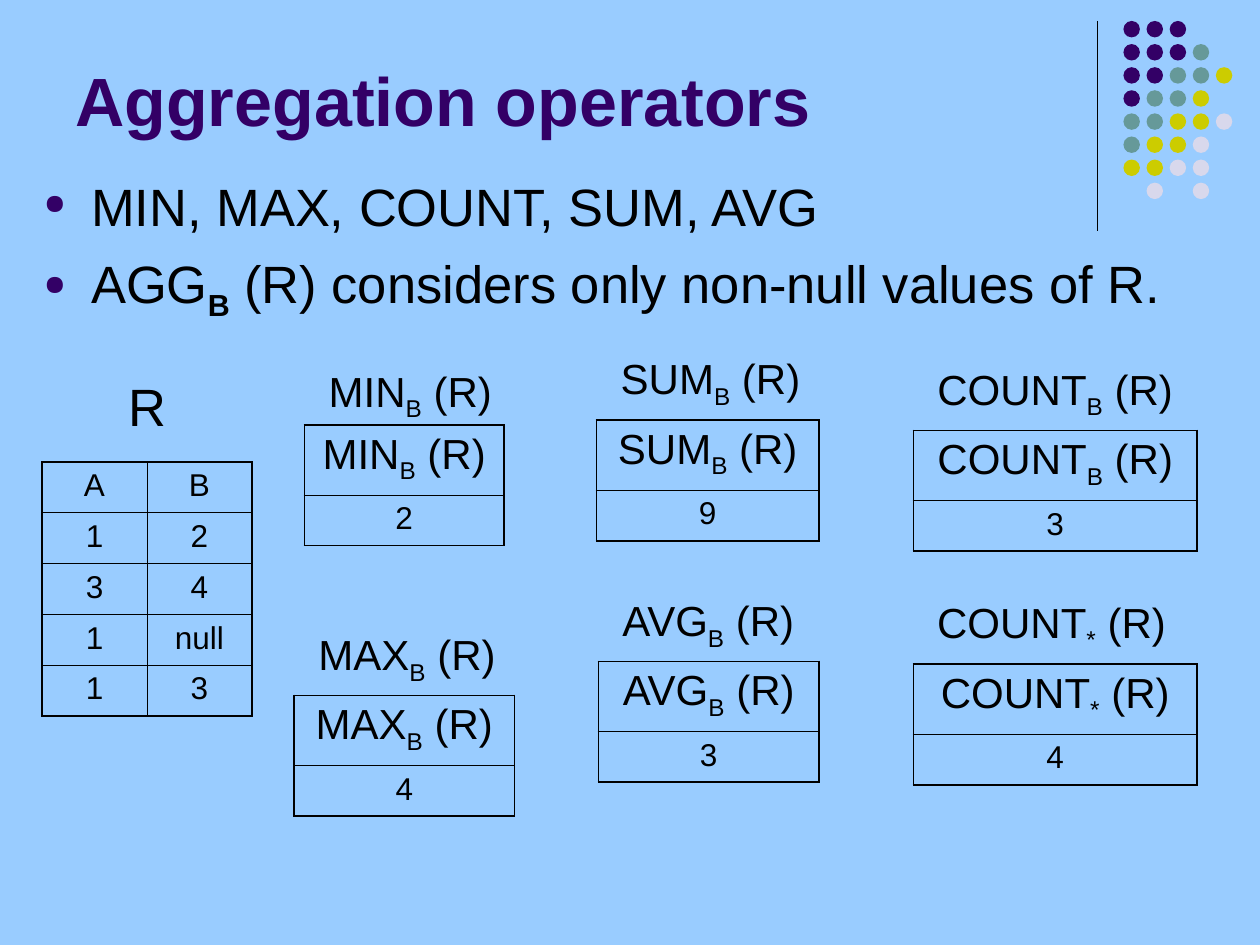
from lxml import etree
from pptx import Presentation
from pptx.dml.color import RGBColor
from pptx.enum import shapes, text
from pptx.oxml import ns
from pptx.util import Pt

COLORS = {"bg": "99CCFF", "text": "000000", "P": "330066", "T": "669999",
          "Y": "CCCC00", "L": "D8D8EC"}


def write(p, content, size, color="text", bold=False):
    for i, part in enumerate(content.split("|")):
        r = p.add_run()
        r.text = part
        r.font.name = "Arial"
        r.font.size = Pt(size)
        r.font.bold = bold
        r.font.color.rgb = RGBColor.from_string(COLORS[color])
        if i % 2:
            r._r.get_or_add_rPr().set("baseline", "-25000")


def add_grid(s, left, top, width, rows, heights, sizes):
    n, m = len(rows), len(rows[0])
    tbl = s.shapes.add_table(n, m, Pt(left), Pt(top), Pt(width), Pt(sum(heights))).table
    tbl.first_row = tbl.horz_banding = False
    for col in tbl.columns:
        col.width = Pt(width / m)
    for i, row in enumerate(rows):
        tbl.rows[i].height = Pt(heights[i])
        for j, value in enumerate(row):
            cell = tbl.cell(i, j)
            cell.fill.background()
            p = cell.text_frame.paragraphs[0]
            p.alignment = text.PP_ALIGN.CENTER
            write(p, value, sizes[i])
            outer = {"lnL": j == 0, "lnR": j == m - 1, "lnT": i == 0, "lnB": i == n - 1}
            for k, (side, is_outer) in enumerate(outer.items()):
                ln = etree.Element(ns.qn("a:" + side), w=str(Pt(1.08 if is_outer else 0.45)))
                fill = etree.SubElement(ln, ns.qn("a:solidFill"))
                etree.SubElement(fill, ns.qn("a:srgbClr"), val=COLORS["text"])
                cell._tc.get_or_add_tcPr().insert(k, ln)


prs = Presentation()
prs.slide_width, prs.slide_height = Pt(720), Pt(540)
s = prs.slides.add_slide(prs.slide_layouts[6])
s.background.fill.solid()
s.background.fill.fore_color.rgb = RGBColor.from_string(COLORS["bg"])

rule = s.shapes.add_connector(shapes.MSO_CONNECTOR.STRAIGHT, Pt(627), Pt(12), Pt(627), Pt(132))
rule.line.color.rgb = RGBColor.from_string(COLORS["text"])
rule.line.width = Pt(0.75)
etree.SubElement(rule._element.spPr, ns.qn("a:effectLst"))

dots = ["PPP", "PPPT", "PPTTY", "PTTY", "TTYYL", "TYYL", "YYLL", " L L"]
for i, row in enumerate(dots):
    for j, key in enumerate(row):
        if key != " ":
            dot = s.shapes.add_shape(shapes.MSO_SHAPE.OVAL, Pt(642 + 13.2 * j),
                                     Pt(12 + 13.2 * i), Pt(9.4), Pt(9.4))
            dot.shadow.inherit = False
            dot.fill.solid()
            dot.fill.fore_color.rgb = RGBColor.from_string(COLORS[key])
            dot.line.fill.background()

title = s.shapes.add_textbox(Pt(36), Pt(9.4), Pt(594), Pt(74))
tf = title.text_frame
tf.word_wrap = True
tf.vertical_anchor = text.MSO_ANCHOR.BOTTOM
write(tf.paragraphs[0], "Aggregation operators", 39, "P", True)

body = s.shapes.add_textbox(Pt(18), Pt(96), Pt(666), Pt(96))
tf = body.text_frame
tf.word_wrap = True
bullets = ["MIN, MAX, COUNT, SUM, AVG", "AGG|B| (R) considers only non-null values of R."]
for i, line in enumerate(bullets):
    p = tf.add_paragraph() if i else tf.paragraphs[0]
    pPr = p._p.get_or_add_pPr()
    pPr.set("marL", str(Pt(27)))
    pPr.set("indent", str(-Pt(27)))
    clr = etree.SubElement(pPr, ns.qn("a:buClr"))
    etree.SubElement(clr, ns.qn("a:srgbClr"), val=COLORS["P"])
    etree.SubElement(pPr, ns.qn("a:buSzPct"), val="53000")
    etree.SubElement(pPr, ns.qn("a:buChar"), char="●")
    if i:
        p.space_before = Pt(8)
    write(p, line, 30)
tf.paragraphs[1].runs[1].font.bold = True

labels = [("R", 30, 66.5, 210, 36, 43)]
relation = [["A", "B"], ["1", "2"], ["3", "4"], ["1", "null"], ["1", "3"]]
add_grid(s, 24, 264, 120, relation, [29] * 5, [18] * 5)

results = [
    ("MIN|B| (R)", "2", 174, 242.8, 114, 180.7, 205.2, 110),
    ("MAX|B| (R)", "4", 168, 397.4, 126, 174.8, 355.7, 118),
    ("COUNT|B| (R)", "3", 522, 246, 162, 528.6, 204, 152),
    ("SUM|B| (R)", "9", 340.8, 240, 127.2, 347.6, 198, 120),
    ("AVG|B| (R)", "3", 342, 378, 126, 348.6, 336.2, 117),
    ("COUNT|*| (R)", "4", 522, 379.5, 162, 528.4, 337.2, 148),
]
for name, value, left, top, width, label_left, label_top, label_width in results:
    add_grid(s, left, top, width, [[name], [value]], [40, 29], [24, 18])
    labels.append((name, 24, label_left, label_top, label_width, 40))

for content, size, left, top, width, height in labels:
    box = s.shapes.add_textbox(Pt(left), Pt(top), Pt(width), Pt(height))
    tf = box.text_frame
    tf.word_wrap = False
    tf.auto_size = text.MSO_AUTO_SIZE.SHAPE_TO_FIT_TEXT
    write(tf.paragraphs[0], content, size)

prs.save("out.pptx")
